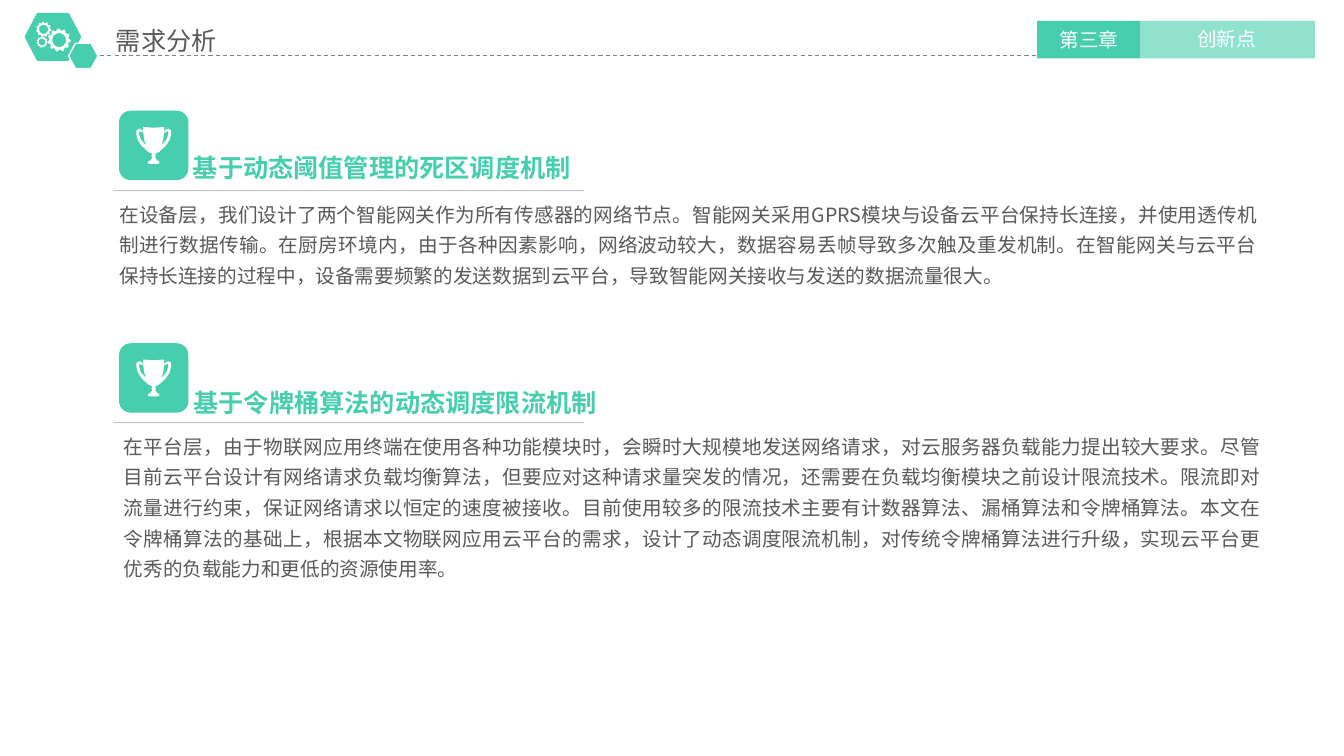
"""Build the slide on the two innovations of the requirements analysis."""
from dataclasses import dataclass
from math import cos, pi, sin

from lxml.etree import SubElement
from pptx import Presentation
from pptx.dml.color import RGBColor
from pptx.enum.dml import MSO_LINE
from pptx.enum.shapes import MSO_CONNECTOR, MSO_SHAPE
from pptx.enum.text import MSO_ANCHOR, MSO_AUTO_SIZE, PP_ALIGN
from pptx.oxml.ns import qn
from pptx.util import Cm, Pt

FONT = "Noto Sans CJK SC"
GREEN, WHITE, GREY = "46CEAE", "FFFFFF", "595959"
CARD_LEFT, CARD_SIZE = 3.0, 1.75
TROPHY_UNIT = 0.88 / 35
TROPHY_OUTLINE = [(10.5, 0), (10.5, 4), (11.5, 4), (12.5, 2.3), (14.5, 1.8), (16.8, 2.8), (17.5, 5),
                  (17.5, 7), (16, 13), (12, 19), (5.5, 25), (1.5, 27), (1.5, 28), (2.5, 29), (1.5, 29.8),
                  (1.5, 31), (2.5, 32), (3.5, 33.8), (5, 34), (5.7, 35.2), (5, 37)]
TROPHY_HANDLE = [(10.5, 5.5), (11.5, 5.5), (13.5, 4.2), (14.7, 5.5), (14.7, 7), (13, 12.5), (7.5, 19), (9.5, 13)]

Points = list[tuple[float, float]]


@dataclass
class Box:
    left: float
    top: float
    width: float
    height: float

    def lengths(self) -> list[Cm]:
        return [Cm(value) for value in (self.left, self.top, self.width, self.height)]


@dataclass
class Plate:
    kind: MSO_SHAPE
    box: Box
    adjustment: float | None = None
    line: str | None = None
    line_width: float = 0
    opacity: int = 100


@dataclass
class Label:
    text: str
    box: Box
    size: float
    color: str
    align: PP_ALIGN = PP_ALIGN.LEFT
    bold: bool = False
    wrap: bool = True
    anchor: MSO_ANCHOR = MSO_ANCHOR.TOP
    spacing: float = 1.0
    inset: float = 0.13


@dataclass
class Rule:
    left: float
    right: float
    y: float
    color: str
    dash: MSO_LINE | None = None


@dataclass
class Gear:
    x: float
    y: float
    radius: float


@dataclass
class Section:
    card_top: float
    rule_y: float
    heading: str
    heading_box: Box
    body: str
    body_box: Box


def rgb(color: str) -> RGBColor:
    return RGBColor.from_string(color)


def set_fill(shape, color: str) -> None:
    shape.shadow.inherit = False
    shape.fill.solid()
    shape.fill.fore_color.rgb = rgb(color)
    shape.line.fill.background()


def add_plate(slide, plate: Plate) -> None:
    shape = slide.shapes.add_shape(plate.kind, *plate.box.lengths())
    set_fill(shape, GREEN)
    if plate.adjustment is not None:
        shape.adjustments[0] = plate.adjustment
    if plate.line:
        shape.line.color.rgb = rgb(plate.line)
        shape.line.width = Pt(plate.line_width)
    if plate.opacity < 100:
        color = shape.fill._xPr.find(".//" + qn("a:srgbClr"))
        SubElement(color, qn("a:alpha")).set("val", str(plate.opacity * 1000))


def add_label(slide, label: Label) -> None:
    frame = slide.shapes.add_textbox(*label.box.lengths()).text_frame
    inset = Cm(label.inset)
    frame_format = {"word_wrap": label.wrap, "auto_size": MSO_AUTO_SIZE.SHAPE_TO_FIT_TEXT,
                    "vertical_anchor": label.anchor, "margin_left": inset, "margin_right": inset,
                    "margin_top": inset, "margin_bottom": inset}
    for name, value in frame_format.items():
        setattr(frame, name, value)
    paragraph = frame.paragraphs[0]
    paragraph.alignment = label.align
    paragraph.line_spacing = label.spacing
    run = paragraph.add_run()
    run.text = label.text
    for name, value in {"name": FONT, "size": Pt(label.size), "bold": label.bold}.items():
        setattr(run.font, name, value)
    run.font.color.rgb = rgb(label.color)
    SubElement(run._r.get_or_add_rPr(), qn("a:ea")).set("typeface", FONT)


def add_rule(slide, rule: Rule) -> None:
    connector = slide.shapes.add_connector(
        MSO_CONNECTOR.STRAIGHT, Cm(rule.left), Cm(rule.y), Cm(rule.right), Cm(rule.y))
    connector.line.color.rgb = rgb(rule.color)
    connector.line.width = Pt(0.75)
    if rule.dash:
        connector.line.dash_style = rule.dash
    SubElement(connector._element.spPr, qn("a:effectLst"))


def add_outline(slide, contours: list[Points]) -> None:
    scaled = [[(Cm(x), Cm(y)) for x, y in contour] for contour in contours]
    builder = slide.shapes.build_freeform(*scaled[0][0])
    builder.add_line_segments(scaled[0][1:], close=True)
    for contour in scaled[1:]:
        builder.move_to(*contour[0])
        builder.add_line_segments(contour[1:], close=True)
    set_fill(builder.convert_to_shape(), WHITE)


def add_gear(slide, gear: Gear, teeth: int = 11) -> None:
    def ring(radii: list[float], direction: int) -> Points:
        step = direction * 2 * pi / len(radii)
        return [(gear.x + r * cos(i * step), gear.y + r * sin(i * step)) for i, r in enumerate(radii)]

    outer, root, hole = gear.radius, gear.radius * 0.84, gear.radius * 0.6
    add_outline(slide, [ring([outer, outer, root, root] * teeth, 1), ring([hole] * 36, -1)])


def add_trophy(slide, center: float, top: float) -> None:
    def place(points: Points, side: int) -> Points:
        return [(center + side * x * TROPHY_UNIT, top + y * TROPHY_UNIT) for x, y in points]

    cup = place(TROPHY_OUTLINE, 1) + place(TROPHY_OUTLINE, -1)[::-1] + place([(0, 0.8)], 1)
    add_outline(slide, [cup, place(TROPHY_HANDLE, 1)[::-1], place(TROPHY_HANDLE, -1)])


def add_section(slide, section: Section) -> None:
    add_plate(slide, Plate(MSO_SHAPE.ROUNDED_RECTANGLE,
                           Box(CARD_LEFT, section.card_top, CARD_SIZE, CARD_SIZE), 0.17))
    add_trophy(slide, CARD_LEFT + CARD_SIZE / 2, section.card_top + 0.41)
    add_rule(slide, Rule(2.87, 14.71, section.rule_y, "BFBFBF"))
    add_label(slide, Label(section.heading, section.heading_box, 18, GREEN, bold=True,
                           wrap=False, anchor=MSO_ANCHOR.MIDDLE))
    add_label(slide, Label(section.body, section.body_box, 14, GREY, PP_ALIGN.JUSTIFY, spacing=1.3))


PLATES = [
    Plate(MSO_SHAPE.HEXAGON, Box(0.66, 0.36, 1.35, 1.14), 0.26, GREEN, 2),
    Plate(MSO_SHAPE.RECTANGLE, Box(26.14, 0.53, 2.6, 0.94)),
    Plate(MSO_SHAPE.RECTANGLE, Box(28.74, 0.53, 4.4, 0.94), opacity=60),
    Plate(MSO_SHAPE.HEXAGON, Box(1.73, 1.09, 0.74, 0.64), 0.27, WHITE, 1),
]
GEARS = [Gear(1.49, 1.01, 0.29), Gear(1.1, 0.74, 0.19), Gear(1.06, 1.06, 0.14)]
LABELS = [
    Label("第三章", Box(26.24, 0.61, 2.41, 0.89), 14, WHITE, PP_ALIGN.CENTER, inset=0.1),
    Label("创新点", Box(28.8, 0.58, 4.22, 0.79), 14, WHITE, PP_ALIGN.CENTER, inset=0.1),
    Label("需求分析", Box(2.82, 0.53, 11.61, 0.97), 18, GREY, inset=0.1),
]
SECTIONS = [
    Section(2.79, 4.81, "基于动态阈值管理的死区调度机制", Box(4.73, 3.66, 9.8, 1.14),
            "在设备层，我们设计了两个智能网关作为所有传感器的网络节点。智能网关采用GPRS模块与设备云平台保持长连接，"
            "并使用透传机制进行数据传输。在厨房环境内，由于各种因素影响，网络波动较大，数据容易丢帧导致多次触及重发机制。"
            "在智能网关与云平台保持长连接的过程中，设备需要频繁的发送数据到云平台，导致智能网关接收与发送的数据流量很大。",
            Box(2.88, 4.8, 28.93, 2.59)),
    Section(8.65, 10.65, "基于令牌桶算法的动态调度限流机制", Box(4.75, 9.63, 10.44, 1.02),
            "在平台层，由于物联网应用终端在使用各种功能模块时，会瞬时大规模地发送网络请求，对云服务器负载能力提出较大要求。"
            "尽管目前云平台设计有网络请求负载均衡算法，但要应对这种请求量突发的情况，还需要在负载均衡模块之前设计限流技术。"
            "限流即对流量进行约束，保证网络请求以恒定的速度被接收。目前使用较多的限流技术主要有计数器算法、漏桶算法和令牌桶算法。"
            "本文在令牌桶算法的基础上，根据本文物联网应用云平台的需求，设计了动态调度限流机制，对传统令牌桶算法进行升级，"
            "实现云平台更优秀的负载能力和更低的资源使用率。",
            Box(2.99, 10.65, 28.93, 4.14)),
]


def main() -> None:
    presentation = Presentation()
    presentation.slide_width, presentation.slide_height = Cm(33.87), Cm(19.05)
    slide = presentation.slides.add_slide(presentation.slide_layouts[6])
    add_rule(slide, Rule(2.34, 26.14, 1.41, "808080", MSO_LINE.DASH))
    for plate in PLATES:
        add_plate(slide, plate)
    for gear in GEARS:
        add_gear(slide, gear)
    for label in LABELS:
        add_label(slide, label)
    for section in SECTIONS:
        add_section(slide, section)
    presentation.save("out.pptx")


if __name__ == "__main__":
    main()
